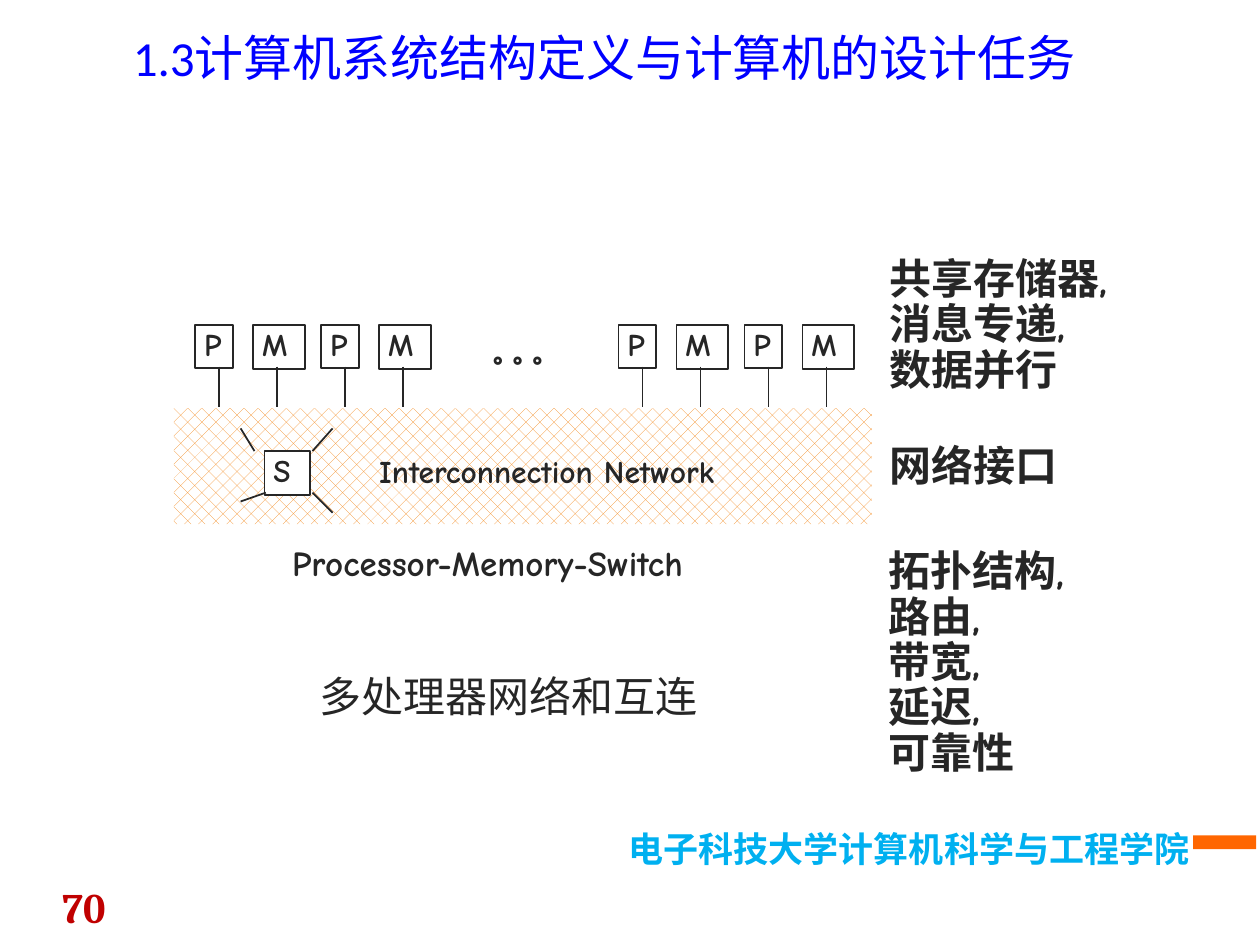
from lxml import etree
from pptx import Presentation
from pptx.dml.color import RGBColor
from pptx.enum import dml, shapes, text
from pptx.oxml import ns
from pptx.util import Inches, Pt

INK = RGBColor(0x26, 0x26, 0x26)
WHITE = RGBColor(0xFF, 0xFF, 0xFF)
BLUE = RGBColor(0x00, 0x00, 0xFF)
SKY = RGBColor(0x00, 0xB0, 0xF0)
RED = RGBColor(0xC0, 0x00, 0x00)
ORANGE = RGBColor(0xFF, 0x66, 0x00)
HATCH = RGBColor(0xF4, 0x89, 0x1E)
COMIC, CHINESE = "Comic Neue", "Noto Sans CJK SC"
LEFT, CENTER, RIGHT = text.PP_ALIGN.LEFT, text.PP_ALIGN.CENTER, text.PP_ALIGN.RIGHT
TIGHT, NORMAL = (0.07, 0.03), (0.1, 0.05)

TITLE = "1.3计算机系统结构定义与计算机的设计任务"
SCHOOL = "电子科技大学计算机科学与工程学院"
PAGE_NUMBER = "70"

# place, lines, size, line spacing, insets, font, bold
LABELS = [
    ((2.94, 3.6, 3.44, 0.31), ["Interconnection Network"], 18, 0.85, TIGHT, COMIC, True),
    ((3.85, 2.77, 1.21, 0.31), ["°\u00a0°\u00a0°"], 18, 0.85, TIGHT, COMIC, True),
    ((6.99, 2.02, 2.16, 1.15), ["共享存储器,", "消息专递,", "数据并行"],
     24, 0.9, TIGHT, COMIC, True),
    ((6.99, 3.5, 1.63, 0.42), ["网络接口"], 24, 0.9, TIGHT, COMIC, True),
    ((6.98, 4.34, 1.79, 1.87), ["拓扑结构,", "路由,", "带宽,", "延迟,", "可靠性"],
     24, 0.9, TIGHT, COMIC, True),
    ((2.22, 4.25, 4.13, 0.43), ["Processor-Memory-Switch"], 20, 1.0, NORMAL, COMIC, True),
    ((2.44, 5.27, 3.23, 0.5), ["多处理器网络和互连"], 24, 1.0, NORMAL, CHINESE, False),
]

PAIR_LEFTS = [1.55, 2.55, 4.91, 5.91]
# letter, offset inside the pair, width, height
UNITS = [("P", 0, 0.3, 0.34), ("M", 0.46, 0.41, 0.35)]
UNIT_TOP, STEM_OFFSET, STEM_TOP, STEM_BOTTOM = 2.58, 0.19, 2.91, 3.23
NETWORK = (1.38, 3.24, 5.54, 0.92)
SWITCH = (2.1, 3.58, 0.36, 0.35)
SWITCH_LINKS = [
    (2.48, 3.58, 2.64, 3.4),
    (2.02, 3.58, 1.91, 3.4),
    (2.11, 3.91, 1.91, 3.98),
    (2.48, 3.91, 2.64, 4.07),
]


def inches(values):
    return [Inches(value) for value in values]


def write(box, lines, size, spacing=1.0, insets=NORMAL, font=COMIC, bold=True,
          color=INK, align=LEFT, anchor=text.MSO_ANCHOR.TOP):
    frame = box.text_frame
    frame.word_wrap = True
    frame.auto_size = text.MSO_AUTO_SIZE.NONE
    frame.vertical_anchor = anchor
    frame.margin_left = frame.margin_right = Inches(insets[0])
    frame.margin_top = frame.margin_bottom = Inches(insets[1])
    for index, line in enumerate(lines):
        para = frame.add_paragraph() if index else frame.paragraphs[0]
        para.alignment = align
        para.line_spacing = spacing
        para.space_before = Pt(0)
        span = para.add_run()
        span.text = line
        span.font.name = font
        span.font.size = Pt(size)
        span.font.bold = bold
        span.font.color.rgb = color
        east_asian = etree.SubElement(span.font._element, ns.qn("a:ea"))
        east_asian.set("typeface", CHINESE)


def add_label(page, place, lines, size, **style):
    write(page.shapes.add_textbox(*inches(place)), lines, size, **style)


def add_box(page, place):
    box = page.shapes.add_shape(shapes.MSO_SHAPE.RECTANGLE, *inches(place))
    box.shadow.inherit = False
    box.line.fill.background()
    return box


def add_unit(page, letter, place):
    """Draw an outlined box holding one letter."""
    unit = add_box(page, place)
    unit.fill.solid()
    unit.fill.fore_color.rgb = WHITE
    unit.line.color.rgb = INK
    unit.line.width = Pt(1)
    write(unit, [letter], 18, spacing=0.92, insets=TIGHT)


def add_line(page, *ends):
    line = page.shapes.add_connector(shapes.MSO_CONNECTOR.STRAIGHT, *inches(ends))
    line.line.color.rgb = INK
    line.line.width = Pt(1)
    etree.SubElement(line._element.spPr, ns.qn("a:effectLst"))


def main():
    deck = Presentation()
    deck.slide_width, deck.slide_height = Inches(10), Inches(7.5)
    page = deck.slides.add_slide(deck.slide_layouts[5])

    title = page.shapes.title
    title.left, title.top, title.width, title.height = inches((0.2, 0.08, 9.19, 0.75))
    write(title, [TITLE], 28, font="Calibri", bold=False, color=BLUE,
          align=CENTER, anchor=text.MSO_ANCHOR.MIDDLE)

    add_label(page, (0.12, 6.95, 1.09, 0.44), [PAGE_NUMBER], 24,
              font="Cambria", color=RED, align=CENTER)
    accent = add_box(page, (9.47, 6.63, 0.5, 0.11))
    accent.fill.solid()
    accent.fill.fore_color.rgb = ORANGE
    add_label(page, (0.82, 6.52, 8.72, 0.44), [SCHOOL], 20,
              font=CHINESE, color=SKY, align=RIGHT)

    network = add_box(page, NETWORK)
    network.fill.patterned()
    network.fill.pattern = dml.MSO_PATTERN.PERCENT_25
    network.fill.fore_color.rgb = HATCH
    network.fill.back_color.rgb = WHITE

    for pair_left in PAIR_LEFTS:
        for letter, offset, width, height in UNITS:
            left = pair_left + offset
            add_unit(page, letter, (left, UNIT_TOP, width, height))
            stem = left + STEM_OFFSET
            add_line(page, stem, STEM_TOP, stem, STEM_BOTTOM)

    add_unit(page, "S", SWITCH)
    for link in SWITCH_LINKS:
        add_line(page, *link)

    for place, lines, size, spacing, insets, font, bold in LABELS:
        add_label(page, place, lines, size, spacing=spacing, insets=insets,
                  font=font, bold=bold)

    deck.save("out.pptx")


if __name__ == "__main__":
    main()
